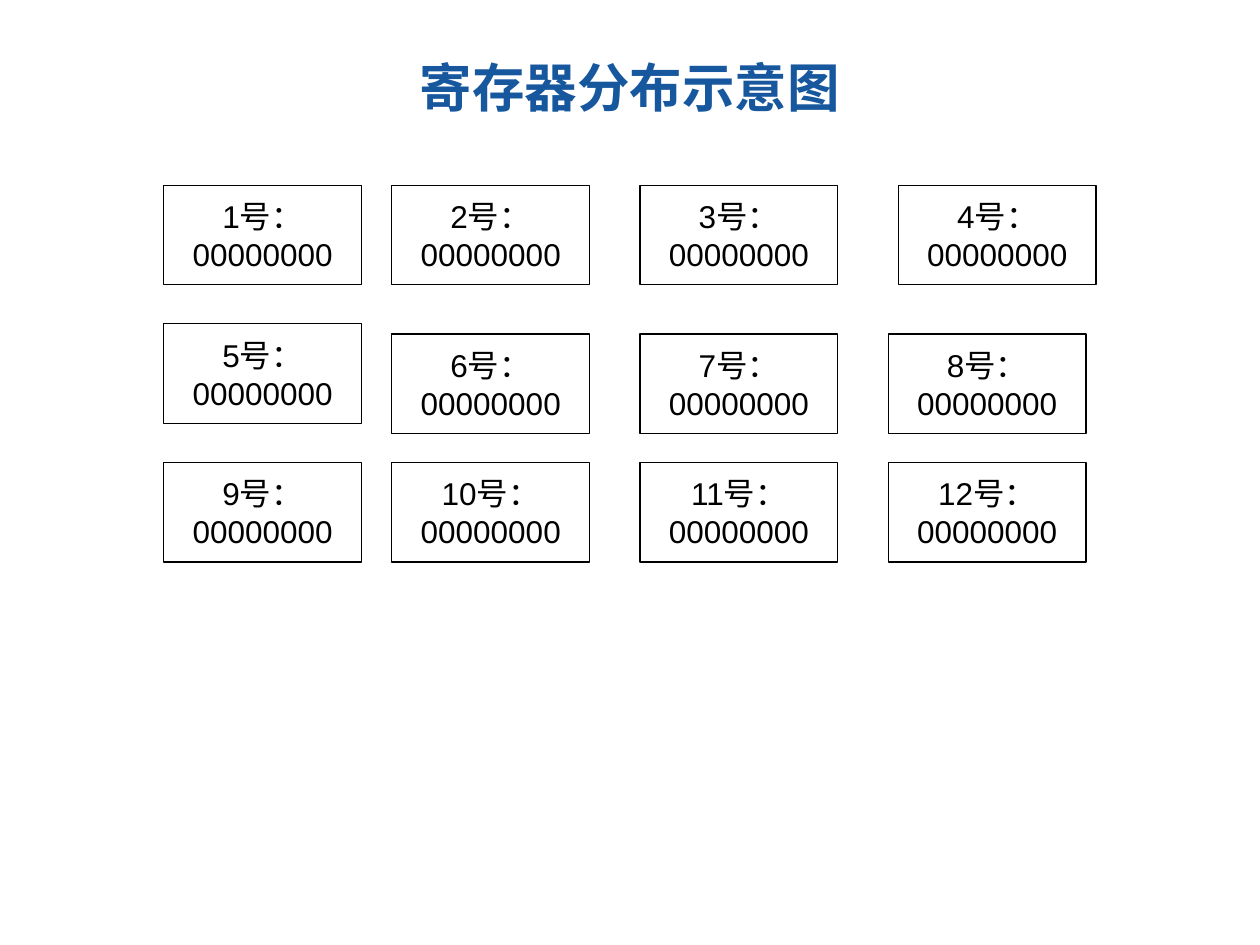
from dataclasses import dataclass

import pptx
import pptx.dml.color
import pptx.enum.shapes
import pptx.enum.text
import pptx.util
from pptx.util import Inches


@dataclass(frozen=True)
class Theme:
    font: str = "Arial"
    title_color: str = "16579E"
    ink: str = "000000"
    title_size: int = 30
    box_size: int = 18
    line_width: float = 0.75


THEME = Theme()

# Register grid, in inches
COLUMNS = [1.3, 3.11, 5.08, 7.05]
ROWS = [1.47, 2.65, 3.67]
BOX_W, BOX_H = 1.57, 0.79
NUDGES = {4: (0.08, 0), 5: (0, -0.08)}  # registers set off the grid
VALUE = "00000000"


def rgb(color):
    return pptx.dml.color.RGBColor.from_string(color)


def set_text(tf, lines, color, **font_format):
    tf.vertical_anchor = pptx.enum.text.MSO_ANCHOR.MIDDLE
    tf.text = "\n".join(lines)
    for p in tf.paragraphs:
        p.alignment = pptx.enum.text.PP_ALIGN.CENTER
        font = p.runs[0].font
        for name, value in font_format.items():
            setattr(font, name, value)
        font.color.rgb = rgb(color)


def add_title(s, text):
    title = s.shapes.title
    place = {"left": 0.5, "top": 0.3, "width": 9, "height": 0.77}
    for name, value in place.items():
        setattr(title, name, Inches(value))
    set_text(title.text_frame, [text], THEME.title_color, name=THEME.font,
             size=pptx.util.Pt(THEME.title_size), bold=True)


def add_register(s, number, left, top):
    sp = s.shapes.add_shape(pptx.enum.shapes.MSO_SHAPE.RECTANGLE, Inches(left),
                            Inches(top), Inches(BOX_W), Inches(BOX_H))
    sp.shadow.inherit = False
    sp.fill.background()
    sp.line.color.rgb = rgb(THEME.ink)
    sp.line.width = pptx.util.Pt(THEME.line_width)
    sp.text_frame.word_wrap = False
    set_text(sp.text_frame, [f"{number}号：", VALUE], THEME.ink,
             name=THEME.font, size=pptx.util.Pt(THEME.box_size))


def main():
    prs = pptx.Presentation()
    prs.slide_width, prs.slide_height = Inches(10), Inches(7.5)
    s = prs.slides.add_slide(prs.slide_layouts[5])

    # Title
    add_title(s, "寄存器分布示意图")

    # Registers, numbered row by row
    cells = [(left, top) for top in ROWS for left in COLUMNS]
    for number, (left, top) in enumerate(cells, start=1):
        dx, dy = NUDGES.get(number, (0, 0))
        add_register(s, number, left + dx, top + dy)

    prs.save("out.pptx")


if __name__ == "__main__":
    main()
